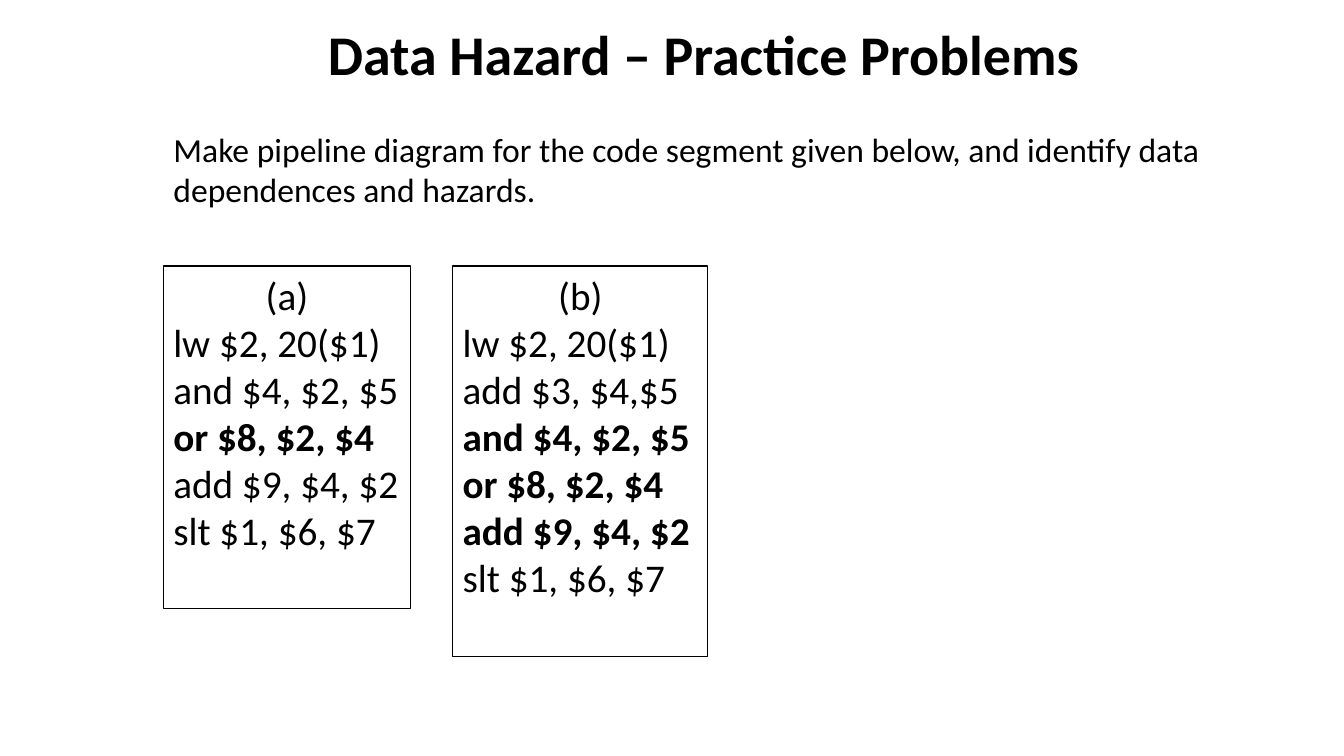
"""Build the data hazard practice slide with two code listings."""
from lxml import etree
from pptx import Presentation
from pptx import util as u
from pptx.dml import color
from pptx.enum import shapes, text

COLOURS = {"ink": "000000"}
FONT = "Calibri"
LISTING_TOP = 190
LINE_HEIGHT = 34
LISTINGS = [
    ("(a)", 116.7, 176.6,
     ["lw $2, 20($1)", "and $4, $2, $5", "or $8, $2, $4", "add $9, $4, $2", "slt $1, $6, $7"],
     {"or $8, $2, $4"}),
    ("(b)", 323.3, 182.4,
     ["lw $2, 20($1)", "add $3, $4,$5", "and $4, $2, $5", "or $8, $2, $4", "add $9, $4, $2",
      "slt $1, $6, $7"],
     {"and $4, $2, $5", "or $8, $2, $4", "add $9, $4, $2"}),
]


def apply_format(target, values):
    for name, value in values.items():
        setattr(target, name, value)


def place(shape, left, top, width, height):
    lengths = {"left": left, "top": top, "width": width, "height": height}
    apply_format(shape, {name: u.Pt(value) for name, value in lengths.items()})


def set_frame(shape, anchor):
    apply_format(shape.text_frame, {
        "word_wrap": True,
        "auto_size": text.MSO_AUTO_SIZE.NONE,
        "vertical_anchor": anchor,
    })


def write(paragraph, words, size, bold=False, alignment=text.PP_ALIGN.LEFT):
    paragraph.alignment = alignment
    run = paragraph.add_run()
    run.text = words
    apply_format(run.font, {"name": FONT, "size": u.Pt(size), "bold": bold})
    run.font.color.rgb = color.RGBColor.from_string(COLOURS["ink"])


def remove_bullet(paragraph):
    properties = paragraph._p.get_or_add_pPr()
    properties.set("marL", "0")
    properties.set("indent", "0")
    namespace = properties.nsmap["a"]
    etree.SubElement(properties, f"{{{namespace}}}buNone")


def fill_title(slide, words):
    title = slide.shapes.title
    place(title, 108, 0, 789, 76.5)
    set_frame(title, text.MSO_ANCHOR.MIDDLE)
    write(title.text_frame.paragraphs[0], words, 40, True, text.PP_ALIGN.CENTER)


def fill_body(slide, words):
    body = slide.placeholders[1]
    place(body, 116.7, 76.5, 789, 88.5)
    set_frame(body, text.MSO_ANCHOR.MIDDLE)
    paragraph = body.text_frame.paragraphs[0]
    write(paragraph, words, 24)
    apply_format(paragraph, {"space_before": u.Pt(4.8), "space_after": u.Pt(6)})
    remove_bullet(paragraph)


def add_listing(slide, label, left, width, instructions, bold_instructions):
    height = (len(instructions) + 2) * LINE_HEIGHT + 7
    listing = slide.shapes.add_shape(shapes.MSO_SHAPE.RECTANGLE, 0, 0, 0, 0)
    place(listing, left, LISTING_TOP, width, height)
    listing.shadow.inherit = False
    listing.fill.background()
    listing.line.color.rgb = color.RGBColor.from_string(COLOURS["ink"])
    listing.line.width = u.Pt(0.75)
    set_frame(listing, text.MSO_ANCHOR.TOP)
    frame = listing.text_frame
    write(frame.paragraphs[0], label, 28, alignment=text.PP_ALIGN.CENTER)
    for instruction in instructions:
        write(frame.add_paragraph(), instruction, 28, instruction in bold_instructions)


def main():
    presentation = Presentation()
    apply_format(presentation, {"slide_width": u.Pt(960), "slide_height": u.Pt(540)})
    slide = presentation.slides.add_slide(presentation.slide_layouts[1])
    fill_title(slide, "Data Hazard – Practice Problems")
    fill_body(slide, "Make pipeline diagram for the code segment given below, "
                     "and identify data dependences and hazards.")
    for listing in LISTINGS:
        add_listing(slide, *listing)
    presentation.save("out.pptx")


main()
